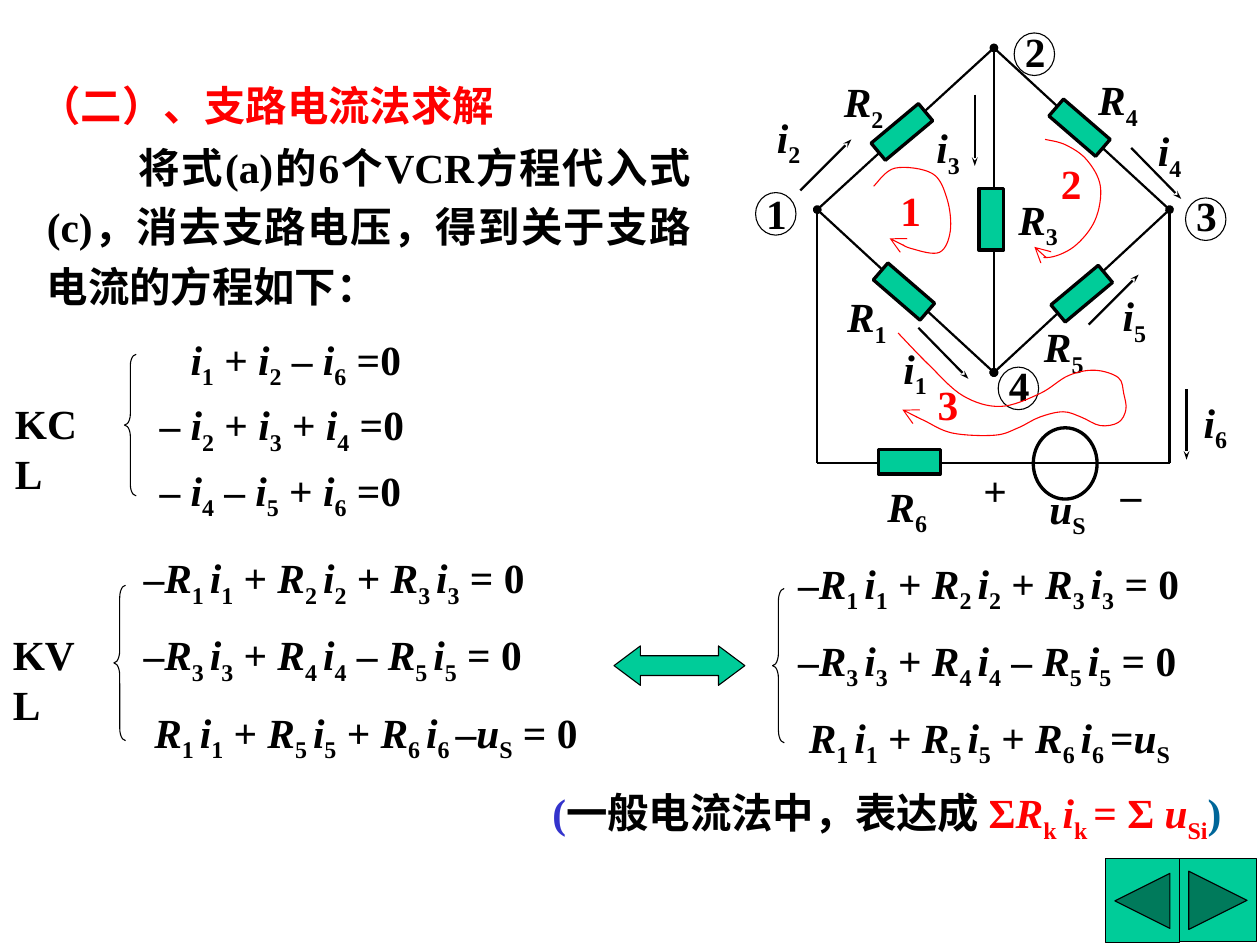
"""Build the slide on solving a bridge circuit with the branch current method."""
from lxml.etree import SubElement
from pptx import Presentation
from pptx.dml.color import RGBColor
from pptx.enum.shapes import MSO_CONNECTOR, MSO_SHAPE as SHAPE
from pptx.enum.text import PP_ALIGN
from pptx.oxml.ns import qn
from pptx.util import Inches, Pt

BLACK, RED, GREEN = "000000", "FF0000", "00CC99"
END_SIZES = {"oval": ("med", "med"), "stealth": ("sm", "med"), "arrow": ("lg", "lg")}
rgb = RGBColor.from_string

prs = Presentation()
prs.slide_width, prs.slide_height = Inches(11.84), Inches(8.88)
s = prs.slides.add_slide(prs.slide_layouts[6])


def text(content, x, y, w, h=0.59, colors=(BLACK,), before=0, spacing=None,
         align=None, first=0, margins=(), wrap=True):
    """Add a text box; pieces split by | that start with R, i or u are symbols with a subscript."""
    tf = s.shapes.add_textbox(Inches(x), Inches(y), Inches(w), Inches(h)).text_frame
    tf.word_wrap = wrap
    tf.margin_left = tf.margin_right = Inches(0.12)
    tf.margin_top = tf.margin_bottom = Inches(0.06)
    for n, line in enumerate(content.split("\n")):
        p = tf.add_paragraph() if n else tf.paragraphs[0]
        pPr = p._p.get_or_add_pPr()
        pPr.set("marL", str(Inches(margins[n] if margins else 0)))
        pPr.set("indent", str(Inches(first)))
        p.space_before = Pt(before if n else 0)
        p.alignment = align
        if spacing:
            p.line_spacing = spacing
        for k, piece in enumerate(line.split("|")):
            symbol = piece[0] in "Riu"
            parts = [piece[0], piece[1:]] if symbol else [piece]
            for sub, part in enumerate(parts):
                r = p.add_run()
                r.text = part
                r.font.name, r.font.size, r.font.bold = "Times New Roman", Pt(28), True
                r.font.italic = symbol and not sub
                r.font.color.rgb = rgb(colors[min(k, len(colors) - 1)])
                if sub:
                    r.font._element.set("baseline", "-25000")


def style(sp, width, color=BLACK, fill=None, head=None, tail=None):
    """Set the line, line ends and fill of a shape or connector, without shadow."""
    sp.line.color.rgb = rgb(color)
    sp.line.width = Pt(width)
    spPr = sp._element.spPr
    for tag, end in (("a:headEnd", head), ("a:tailEnd", tail)):
        if end:
            w, length = END_SIZES[end]
            SubElement(spPr.find(qn("a:ln")), qn(tag), type=end, w=w, len=length)
    if not hasattr(sp, "fill"):
        SubElement(spPr, qn("a:effectLst"))
        return
    sp.shadow.inherit = False
    if fill:
        sp.fill.solid()
        sp.fill.fore_color.rgb = rgb(fill)
    else:
        sp.fill.background()


text("（二）、支路电流法求解", 0.25, 0.69, 4.58, colors=[RED])
text("将式(a)的6个VCR方程代入式(c)，消去支路电压，得到关于支路电流的方程如下：",
     0.32, 1.18, 6.29, 1.8, spacing=1.2, align=PP_ALIGN.JUSTIFY, first=0.86)

text("KCL", 0.02, 3.68, 1.08)
text("i1| + |i2| – |i6| =0\n– |i2| + |i3| + |i4| =0\n– |i4| – |i5| + |i6| =0",
     1.38, 3.08, 3.18, 1.71, before=6, margins=(0.29, 0, 0))

text("KVL", 0, 5.85, 1.08)
loops = ("–|R1 |i1| + |R2 |i2| + |R3 |i3| = 0\n"
         "–|R3 |i3| + |R4 |i4| – |R5 |i5| = 0\n"
         "R1 |i1| + |R5 |i5| + |R6 |i6 |")
for ending, x, y, w in (("–|uS| = 0", 1.23, 5.13, 4.54), ("=|uS", 7.38, 5.18, 4.12)):
    text(loops + ending, x, y, w, 1.99, before=14, margins=(0, 0, 0.1))

text("(|一般电流法中，表达成 |Σ|Rk |ik |= Σ |uSi|)", 5.07, 7.34, 6.61,
     colors=["3333CC", BLACK] + [RED] * 5 + ["006699"])

for x, y, h, curl in ((1.17, 3.33, 1.33, 0.97), (1.07, 5.5, 1.46, 1.06), (7.26, 5.53, 1.45, 1.06)):
    sp = s.shapes.add_shape(SHAPE.LEFT_BRACE, Inches(x), Inches(y), Inches(0.11), Inches(h))
    sp.adjustments[0] = curl
    style(sp, 0.75)

sp = s.shapes.add_shape(SHAPE.LEFT_RIGHT_ARROW, Inches(5.77), Inches(6.07), Inches(1.23), Inches(0.37))
sp.adjustments[1] = 0.67
style(sp, 0.75, fill=GREEN)

left, top, right, bottom = (7.68, 1.97), (9.34, 0.45), (10.99, 1.97), (9.34, 3.5)
left_end, right_end = (7.68, 4.35), (10.99, 4.35)
wires = [
    (top, bottom, "oval", "oval"), (top, right, None, None), (left, bottom, "oval", "oval"),
    (right, bottom, "oval", "oval"), (top, left, None, None), (left, left_end, None, None),
    (right, right_end, None, None), (left_end, right_end, None, None),
]
currents = [
    ((7.52, 1.79), (8, 1.31)), ((10.23, 3.05), (10.7, 2.58)), ((8.63, 3.08), (9.1, 3.56)),
    ((10.63, 1.39), (11.1, 1.87)), ((9.16, 0.89), (9.16, 1.56)), ((11.15, 3.66), (11.15, 4.32)),
]
for start, end, head, tail in wires + [(*c, None, "stealth") for c in currents]:
    sp = s.shapes.add_connector(MSO_CONNECTOR.STRAIGHT, *(Inches(v) for v in start + end))
    style(sp, 1.5, head=head, tail=tail)

resistors = [(9.2, 1.77, 0.23, 0), (8.37, 0.95, 0.21, 50.1), (10.04, 0.91, 0.21, 310.8),
             (10.06, 2.47, 0.21, 50.1), (8.39, 2.45, 0.21, 310.8), (8.43, 4.05, 0.23, 90)]
for x, y, w, angle in resistors:
    sp = s.shapes.add_shape(SHAPE.RECTANGLE, Inches(x), Inches(y), Inches(w), Inches(0.58))
    sp.rotation = angle
    style(sp, 2.25, fill=GREEN)

source = s.shapes.add_shape(SHAPE.OVAL, Inches(9.71), Inches(4.02), Inches(0.6), Inches(0.67))
style(source, 2.25)

labels = [
    ("R1", 7.84, 2.68), ("R2", 7.81, 0.66), ("R3", 9.45, 1.76), ("R4", 10.2, 0.64),
    ("R5", 9.69, 2.96), ("R6", 8.22, 4.46), ("i1", 8.37, 3.16), ("i2", 7.18, 0.99),
    ("i3", 8.68, 1.09), ("i4", 10.76, 1.12), ("i5", 10.43, 2.67), ("i6", 11.19, 3.67),
    ("uS", 9.74, 4.48), ("+", 9.12, 4.31), ("–", 10.41, 4.35),
]
for label, x, y in labels:
    text(label, x, y, 0.64)

nodes = [("1", 7.1, 1.81, 1.71), ("2", 9.53, 0.31, 0.19),
         ("3", 11.14, 1.86, 1.73), ("4", 9.38, 3.45, 3.32)]
for node, x, y, text_y in nodes:
    text(node, x - 0.02, text_y, 0.48)
    style(s.shapes.add_shape(SHAPE.OVAL, Inches(x), Inches(y), Inches(0.38), Inches(0.4)), 0.75)

meshes = [
    ("1", 8.34, 1.68, [(8.21, 1.75), (8.41, 1.58), (8.76, 1.63), (8.9, 1.87), (8.93, 2.17),
                       (8.83, 2.37), (8.58, 2.34), (8.36, 2.24)]),
    ("2", 9.85, 1.43, [(9.82, 1.31), (10.01, 1.36), (10.21, 1.5), (10.34, 1.75), (10.29, 2.07),
                       (10.09, 2.32), (9.84, 2.42), (9.72, 2.32)]),
    ("3", 8.69, 3.5, [(8.44, 3.13), (8.73, 3.43), (9.05, 3.72), (9.4, 3.82), (9.77, 3.7),
                      (10.04, 3.53), (10.29, 3.48), (10.51, 3.55), (10.56, 3.7), (10.58, 3.85),
                      (10.51, 3.97), (10.34, 4), (10.16, 3.92), (9.99, 3.87), (9.77, 3.92),
                      (9.57, 4.02), (9.35, 4.09), (8.95, 4.07), (8.68, 3.95), (8.48, 3.85)]),
]
for mesh, x, y, knots in meshes:
    points = [(Inches(px), Inches(py)) for px, py in knots]
    builder = s.shapes.build_freeform(*points[0])
    builder.add_line_segments(points[1:], close=False)
    sp = builder.convert_to_shape()
    padded = [points[0], *points, points[-1]]
    segments = list(sp._element.iter(qn("a:lnTo")))
    for segment, a, b, c, d in zip(segments, padded, padded[1:], padded[2:], padded[3:]):
        segment.tag = qn("a:cubicBezTo")
        controls = [[b[n] + (c[n] - a[n]) / 6 for n in (0, 1)],
                    [c[n] - (d[n] - b[n]) / 6 for n in (0, 1)]]
        for n, (cx, cy) in enumerate(controls):
            pt = SubElement(segment, qn("a:pt"), x=str(int(cx - sp.left)), y=str(int(cy - sp.top)))
            segment.insert(n, pt)
    style(sp, 0.75, RED, tail="arrow")
    text(mesh, x, y, 0.43, colors=[RED], wrap=False)

for kind, x, y, w, h in ((SHAPE.ACTION_BUTTON_FORWARD_OR_NEXT, 11.08, 8.07, 0.73, 0.78),
                         (SHAPE.ACTION_BUTTON_BACK_OR_PREVIOUS, 10.39, 8.07, 0.69, 0.79)):
    style(s.shapes.add_shape(kind, Inches(x), Inches(y), Inches(w), Inches(h)), 0.75, fill=GREEN)

prs.save("out.pptx")
